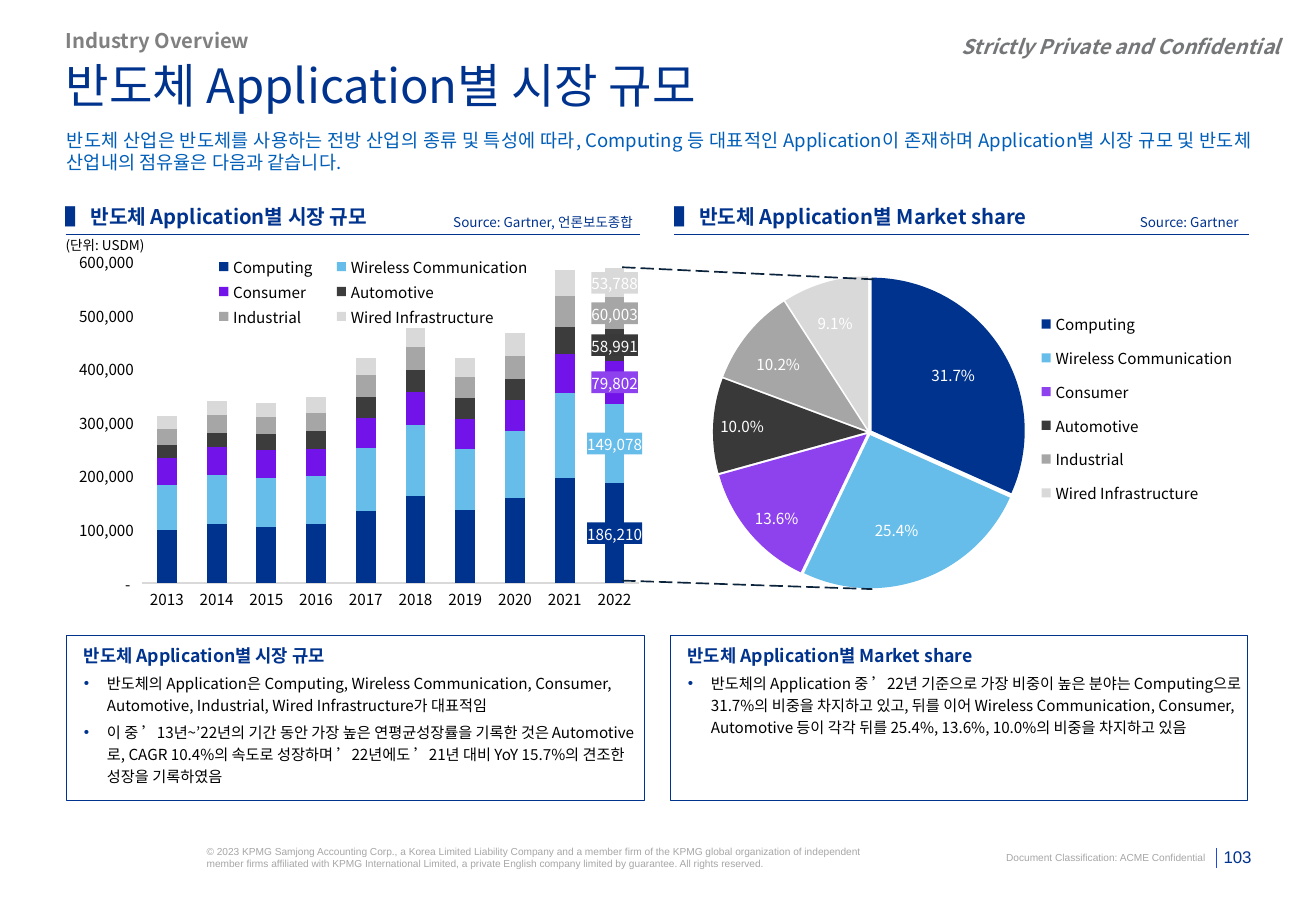
from dataclasses import dataclass

from lxml import etree
from pptx import Presentation
from pptx.chart import data as cd
from pptx.dml import color as dml
from pptx.enum import chart as ch, dml as line_styles, shapes, text
from pptx.oxml import ns
from pptx.util import Inches, Pt

KR = "Noto Sans CJK KR"
NAVY, BLACK, GREY = "00338D", "000000", "A6A6A6"
LEFT, CENTER = text.PP_ALIGN.LEFT, ch.XL_LABEL_POSITION.CENTER
RIGHT, JUSTIFY = text.PP_ALIGN.RIGHT, text.PP_ALIGN.JUSTIFY
TOP, MIDDLE, BOTTOM = (text.MSO_ANCHOR.TOP, text.MSO_ANCHOR.MIDDLE,
                       text.MSO_ANCHOR.BOTTOM)


@dataclass
class Label:
    words: str
    box: tuple
    size: float
    color: str = NAVY
    font: str = KR
    bold: bool = False
    italic: bool = False
    align: text.PP_ALIGN = LEFT
    anchor: text.MSO_ANCHOR = TOP
    spacing: float = 1.0


@dataclass
class Segment:
    name: str
    color: str
    label_fill: str
    sales: tuple
    share: float
    nudge: tuple = None


@dataclass
class Panel:
    x: float
    heading: str
    bullets: tuple
    source: str
    source_x: float
    rule_x: float


SEGMENTS = [
    Segment("Computing", NAVY, NAVY,
            (99675, 110013, 104275, 110110, 133803, 162574, 136590, 159253, 196358, 186210),
            0.317, (0.03, -0.04)),
    Segment("Wireless Communication", "66BDE9", "66BDE9",
            (83082, 91576, 92506, 90514, 118145, 132263, 113145, 125172, 158039, 149078),
            0.254, (0, 0.06)),
    Segment("Consumer", "7213EA", "8E42EE",
            (50253, 52536, 50943, 50186, 56905, 61449, 55868, 57359, 73467, 79802), 0.136),
    Segment("Automotive", "3C3C3C", "393939",
            (24276, 27051, 29991, 33052, 39288, 41691, 40691, 39852, 50982, 58991), 0.1),
    Segment("Industrial", GREY, GREY,
            (30226, 33005, 31826, 33805, 40045, 42268, 39227, 43193, 57372, 60003),
            0.102, (-0.05, -0.05)),
    Segment("Wired Infrastructure", "D9D9D9", "D9D9D9",
            (24607, 26846, 26522, 29828, 32767, 36287, 34137, 41552, 47799, 53788),
            0.091, (-0.02, -0.09)),
]
PANELS = [
    Panel(0.55, "반도체 Application별 시장 규모", (
        "반도체의 Application은 Computing, Wireless Communication, Consumer, Automotive, "
        "Industrial, Wired Infrastructure가 대표적임",
        "이 중 ’13년~’22년의 기간 동안 가장 높은 연평균성장률을 기록한 것은 Automotive로, "
        "CAGR 10.4%의 속도로 성장하며 ’22년에도 ’21년 대비 YoY 15.7%의 견조한 성장을 기록하였음"),
        "Source: Gartner, 언론보도종합", 3.73, 0.54),
    Panel(5.52, "반도체 Application별 Market share", (
        "반도체의 Application 중 ’22년 기준으로 가장 비중이 높은 분야는 Computing으로 31.7%의 "
        "비중을 차지하고 있고, 뒤를 이어 Wireless Communication, Consumer, Automotive 등이 "
        "각각 뒤를 25.4%, 13.6%, 10.0%의 비중을 차지하고 있음",),
        "Source: Gartner", 9.38, 5.55),
]
TITLE = Label("반도체 Application별 시장 규모", (0.54, 0.52, 9, 0.47), 28,
              anchor=MIDDLE, spacing=0.7)
LABELS = [
    Label("Industry Overview", (0.54, 0.23, 9.38, 0.29), 12, "808080", bold=True),
    Label("Strictly Private and Confidential", (7.84, 0.26, 2.7, 0.24), 12, "747678",
          bold=True, italic=True, align=RIGHT, anchor=MIDDLE),
    Label("반도체 산업은 반도체를 사용하는 전방 산업의 종류 및 특성에 따라, Computing 등 대표적인 "
          "Application이 존재하며 Application별 시장 규모 및 반도체 산업내의 점유율은 다음과 같습니다.",
          (0.55, 1.06, 9.75, 0.37), 11, "005EB8", align=JUSTIFY),
    Label("(단위: USDM)", (0.54, 1.95, 0.9, 0.14), 8, BLACK),
    Label("© 2023 KPMG Samjong Accounting Corp., a Korea Limited Liability Company and a "
          "member firm of the KPMG global organization of independent member firms affiliated "
          "with KPMG International Limited, a private English company limited by guarantee. "
          "All rights reserved.", (1.7, 6.96, 5.59, 0.2), 6, GREY, "Arial"),
    Label("Document Classification: ACME Confidential", (8.12, 7.01, 1.8, 0.1), 6, GREY,
          "Arial", align=RIGHT),
    Label("103", (10.03, 6.98, 0.27, 0.16), 10, font="Arial", align=RIGHT, anchor=BOTTOM),
]


def rgb(value: str) -> dml.RGBColor:
    return dml.RGBColor.from_string(value)


def set_font(font, size: float, color: str, name: str = KR) -> None:
    font.size, font.name, font.color.rgb = Pt(size), name, rgb(color)


def add_run(p, words: str, size: float, color: str, name: str = KR,
            bold: bool = False, italic: bool = False) -> None:
    r = p.add_run()
    r.text = words
    set_font(r.font, size, color, name)
    r.font.bold, r.font.italic = bold, italic
    etree.SubElement(r.font._element, ns.qn("a:ea"), typeface=name)


def set_frame(sp, box: tuple, insets: tuple = (0, 0, 0, 0), anchor=TOP):
    """Place a shape and prepare its text frame."""
    sp.left, sp.top, sp.width, sp.height = map(Inches, box)
    tf = sp.text_frame
    tf.word_wrap, tf.auto_size, tf.vertical_anchor = True, text.MSO_AUTO_SIZE.NONE, anchor
    tf.margin_left, tf.margin_top, tf.margin_right, tf.margin_bottom = map(Inches, insets)
    return tf


def write(sp, label: Label) -> None:
    p = set_frame(sp, label.box, anchor=label.anchor).paragraphs[0]
    p.alignment, p.line_spacing = label.align, label.spacing
    add_run(p, label.words, label.size, label.color, label.font, label.bold, label.italic)


def add_label(s, label: Label) -> None:
    write(s.shapes.add_textbox(0, 0, 0, 0), label)


def add_line(s, start: tuple, end: tuple, color: str, width: float, dash=None) -> None:
    c = s.shapes.add_connector(shapes.MSO_CONNECTOR.STRAIGHT, *map(Inches, start + end))
    c.line.color.rgb, c.line.width = rgb(color), Pt(width)
    if dash:
        c.line.dash_style = dash
    etree.SubElement(c._element.spPr, ns.qn("a:effectLst"))


def fill_panel(sp, panel: Panel) -> None:
    tf = set_frame(sp, (panel.x, 5.23, 4.75, 1.36), (0.04, 0.04, 0, 0.06))
    sp.line.color.rgb, sp.line.width = rgb(NAVY), Pt(0.5)
    for i, words in enumerate((panel.heading,) + panel.bullets):
        p = tf.add_paragraph() if i else tf.paragraphs[0]
        pPr = p._p.get_or_add_pPr()
        pPr.set("marL", str(Inches(0.29 if i else 0.1)))
        pPr.set("indent", str(Inches(-0.19 if i else 0)))
        if i:
            clr = etree.SubElement(pPr, ns.qn("a:buClr"))
            etree.SubElement(clr, ns.qn("a:srgbClr"), val=NAVY)
            etree.SubElement(pPr, ns.qn("a:buChar"), char="•")
        else:
            etree.SubElement(pPr, ns.qn("a:buNone"))
        p.line_spacing, p.space_before, p.space_after = 1.2, Pt(0), Pt(3)
        add_run(p, words, 9 if i else 10.5, BLACK if i else NAVY, bold=not i)


def layout_xml(x: float, y: float, w: float = None, h: float = None, inner: bool = False):
    """Build a manual chart layout; without a size it is an offset."""
    layout = etree.Element(ns.qn("c:layout"))
    manual = etree.SubElement(layout, ns.qn("c:manualLayout"))
    items = [("layoutTarget", "inner")] if inner else []
    if w:
        items += [("xMode", "edge"), ("yMode", "edge")]
    items += [("x", x), ("y", y)] + ([("w", w), ("h", h)] if w else [])
    for tag, val in items:
        etree.SubElement(manual, ns.qn("c:" + tag), val=str(val))
    return layout


def add_chart(s, kind, box: tuple, data, plot: tuple, legend: tuple, legend_side):
    chart = s.shapes.add_chart(kind, *map(Inches, box), data).chart
    set_font(chart.font, 9, BLACK)
    chart.has_title, chart.has_legend = False, True
    chart.legend.position, chart.legend.include_in_layout = legend_side, False
    set_font(chart.legend.font, 9, BLACK)
    chart.legend._element.find(ns.qn("c:legendPos")).addnext(layout_xml(*legend))
    area = chart._chartSpace.find(".//" + ns.qn("c:plotArea"))
    for old in area.findall(ns.qn("c:layout")):
        area.remove(old)
    area.insert(0, layout_xml(*plot, inner=True))
    return chart


def add_sales_chart(s) -> None:
    data = cd.CategoryChartData(number_format="#,##0")
    data.categories = [str(year) for year in range(2013, 2023)]
    for seg in SEGMENTS:
        data.add_series(seg.name, seg.sales)
    chart = add_chart(s, ch.XL_CHART_TYPE.COLUMN_STACKED, (0.55, 2.05, 4.76, 3.05), data,
                      (0.13, 0.035, 0.86, 0.867), (0.23, 0.01, 0.6, 0.21),
                      ch.XL_LEGEND_POSITION.TOP)
    chart.plots[0].gap_width, chart.plots[0].overlap = 150, 100
    cat, val = chart.category_axis, chart.value_axis
    for axis in (cat, val):
        axis.major_tick_mark = axis.minor_tick_mark = ch.XL_TICK_MARK.NONE
        axis.has_major_gridlines = False
        set_font(axis.tick_labels.font, 9, BLACK)
    cat.format.line.color.rgb, cat.format.line.width = rgb("D9D9D9"), Pt(0.75)
    val.format.line.fill.background()
    val.minimum_scale, val.maximum_scale, val.major_unit = 0, 600000, 100000
    val.tick_labels.number_format = '#,##0_);\\(#,##0\\);" - "_);@'
    val.tick_labels.number_format_is_linked = False
    for seg, series in zip(SEGMENTS, chart.plots[0].series):
        series.format.fill.solid()
        series.format.fill.fore_color.rgb = rgb(seg.color)
        series.data_labels.show_value = False
        set_font(series.points[9].data_label.font, 9, "FFFFFF")
        spPr = etree.Element(ns.qn("c:spPr"))
        fill = etree.SubElement(spPr, ns.qn("a:solidFill"))
        etree.SubElement(fill, ns.qn("a:srgbClr"), val=seg.label_fill)
        series._element.find(".//" + ns.qn("c:dLbl")).find(ns.qn("c:txPr")).addprevious(spPr)


def add_share_chart(s) -> None:
    data = cd.CategoryChartData(number_format="0.0%")
    data.categories = [seg.name for seg in SEGMENTS]
    data.add_series("Series 1", [seg.share for seg in SEGMENTS])
    chart = add_chart(s, ch.XL_CHART_TYPE.PIE, (5.52, 1.93, 4.76, 3.05), data,
                      (0.073, 0.113, 0.54, 0.843), (0.626, 0.18, 0.36, 0.58),
                      ch.XL_LEGEND_POSITION.RIGHT)
    series = chart.plots[0].series[0]
    explosion = etree.Element(ns.qn("c:explosion"), val="2")
    series.format.fill.solid()
    series._element.find(ns.qn("c:spPr")).addnext(explosion)
    labels = series.data_labels
    labels.show_value, labels.position = True, ch.XL_LABEL_POSITION.INSIDE_END
    set_font(labels.font, 9, "FFFFFF")
    for i, seg in enumerate(SEGMENTS):
        point = series.points[i]
        point.format.fill.solid()
        point.format.fill.fore_color.rgb = rgb(seg.label_fill)
        if seg.nudge:
            set_font(point.data_label.font, 9, "FFFFFF")
            point.data_label.position = CENTER
            idx = series._element.findall(".//" + ns.qn("c:dLbl"))[-1].find(ns.qn("c:idx"))
            idx.addnext(layout_xml(*seg.nudge))


def main() -> None:
    prs = Presentation()
    prs.slide_width, prs.slide_height = Inches(10.83), Inches(7.5)
    s = prs.slides.add_slide(prs.slide_layouts[3])
    write(s.shapes.title, TITLE)
    for label in LABELS:
        add_label(s, label)
    add_line(s, (10.01, 6.98), (10.01, 7.15), "1E49E2", 0.5)
    add_sales_chart(s)
    add_share_chart(s)
    for idx, panel in enumerate(PANELS, 1):
        fill_panel(s.placeholders[idx], panel)
        x = panel.rule_x
        add_line(s, (x, 1.93), (x + 4.73, 1.93), NAVY, 0.5)
        add_label(s, Label("▌ " + panel.heading, (x, 1.57, 4.82, 0.39), 12, bold=True,
                           anchor=MIDDLE, spacing=1.2))
        add_label(s, Label(panel.source, (panel.source_x, 1.76, 1.56, 0.13), 8))
    for start, end in (((5.12, 2.2), (7.19, 2.3)), ((5.12, 4.78), (7.18, 4.85))):
        add_line(s, start, end, "0C233C", 1, line_styles.MSO_LINE.LONG_DASH)
    prs.save("out.pptx")


if __name__ == "__main__":
    main()
